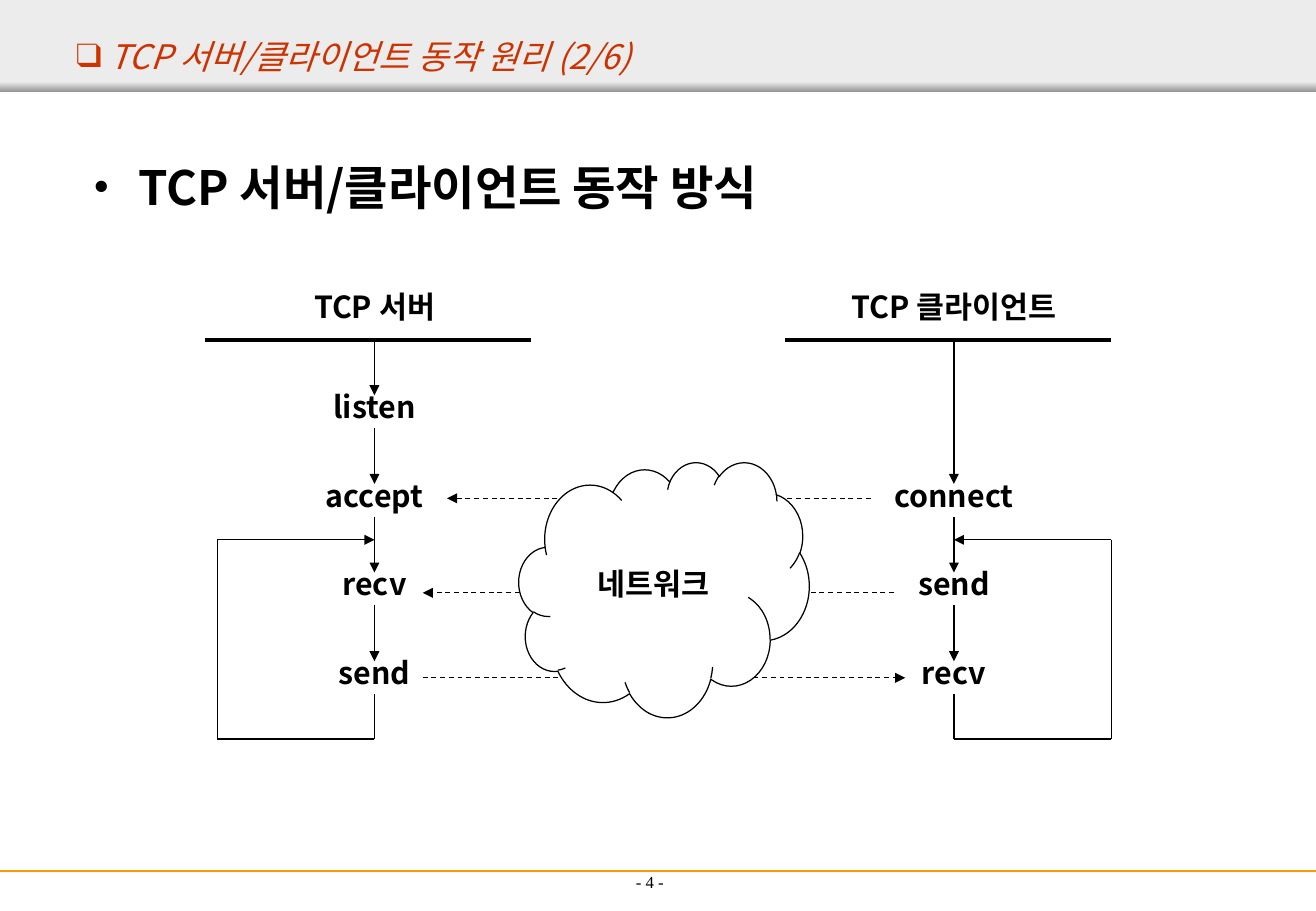
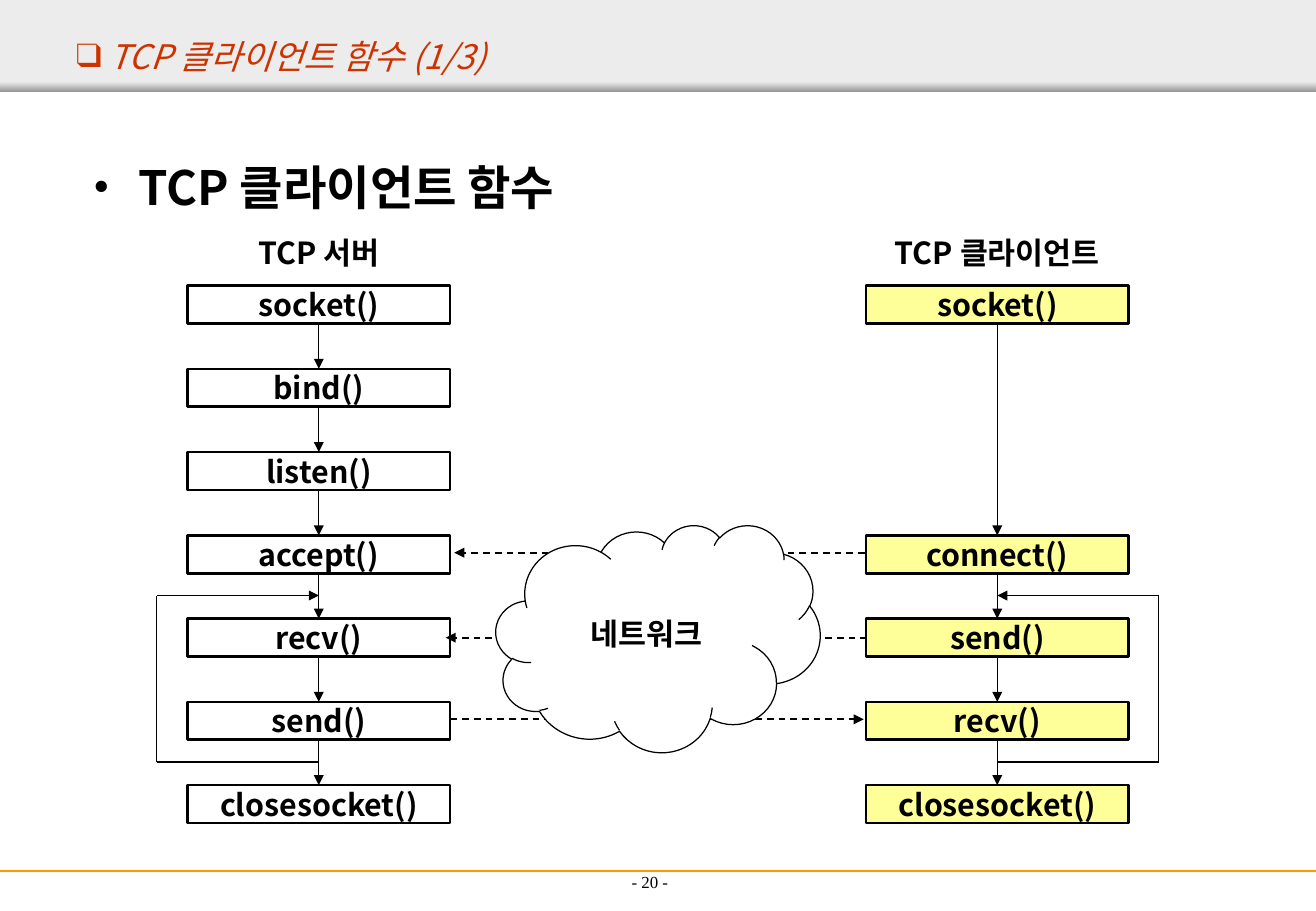
from dataclasses import dataclass
from lxml.etree import SubElement
from pptx import Presentation
from pptx.dml.color import RGBColor
from pptx.enum.dml import MSO_LINE
from pptx.enum.shapes import MSO_CONNECTOR, MSO_SHAPE
from pptx.enum.text import MSO_ANCHOR, PP_ALIGN
from pptx.oxml.ns import qn
from pptx.util import Pt


@dataclass(frozen=True)
class Theme:
    width: float = 780.12
    height: float = 540
    band_width: float = 780
    sans: str = "Noto Sans CJK KR"
    serif: str = "Times New Roman"
    black: str = "000000"
    white: str = "FFFFFF"
    accent: str = "CC3300"
    band: str = "ECECEC"
    band_edge: str = "979797"
    footer: str = "FF9900"
    highlight: str = "FFFF99"
    title_size: float = 20
    heading_size: float = 28
    label_size: float = 18
    page_size: float = 10
    thin: float = 0.75


THEME = Theme()

SLIDES = [
    {
        "page": "- 4 -",
        "title": " TCP 서버/클라이언트 동작 원리 (2/6)",
        "heading": "TCP 서버/클라이언트 동작 방식",
        "lanes": [
            {"name": "TCP 서버", "center": 222, "outer": 128.9, "rule": (121.7, 314.8),
             "calls": {0: "listen", 1: "accept", 2: "recv", 3: "send"}},
            {"name": "TCP 클라이언트", "center": 565.5, "outer": 658.8, "rule": (465.3, 658.8),
             "calls": {1: "connect", 2: "send", 3: "recv"}},
        ],
        "name_row": (162, 39.6),
        "rows": {"first": 227.8, "pitch": 52.56, "width": 186.5, "height": 26, "inset": 6.5},
        "rule_y": 201.6,
        "boxed": False,
        "loop": (320, 438),
        "messages": [(516.2, 265, 295.4), (530, 250.6, 351.4), (250.6, 536.6, 401.8)],
        "message_weight": 0.75,
        "network": (307.6, 273.8, 172.1, 151.2),
    },
    {
        "page": "- 20 -",
        "title": " TCP 클라이언트 함수 (1/3)",
        "heading": "TCP 클라이언트 함수",
        "lanes": [
            {"name": "TCP 서버", "center": 189, "outer": 93, "fill": None,
             "calls": dict(enumerate(["socket()", "bind()", "listen()", "accept()",
                                      "recv()", "send()", "closesocket()"]))},
            {"name": "TCP 클라이언트", "center": 591.2, "outer": 687, "fill": THEME.highlight,
             "calls": {0: "socket()", 3: "connect()", 4: "send()", 5: "recv()",
                       6: "closesocket()"}},
        ],
        "name_row": (138.2, 22.3),
        "rows": {"first": 169.3, "pitch": 49.35, "width": 155.6, "height": 22.5, "inset": 0},
        "rule_y": None,
        "boxed": True,
        "loop": (353, 451.7),
        "messages": [(512.6, 269.3, 327.6), (514, 264.2, 378), (267.1, 512, 426.4)],
        "message_weight": 1,
        "network": (294, 311.2, 192.2, 134.6),
    },
]


def color(code):
    return RGBColor.from_string(code)


def write(shape, text, size, font=THEME.sans, ink=THEME.black, bold=False, italic=False,
          align=PP_ALIGN.CENTER, anchor=MSO_ANCHOR.MIDDLE):
    frame = shape.text_frame
    frame.word_wrap = True
    frame.vertical_anchor = anchor
    frame.text = text
    paragraph = frame.paragraphs[0]
    paragraph.alignment = align
    run = paragraph.runs[0]
    run.font.name = font
    run.font.size = Pt(size)
    run.font.bold = bold
    run.font.italic = italic
    run.font.color.rgb = color(ink)
    SubElement(run.font._element, qn("a:ea")).set("typeface", font)
    return paragraph


def place_text(slide, left, top, width, height, text, size, **style):
    label = slide.shapes.add_textbox(Pt(left), Pt(top), Pt(width), Pt(height))
    return write(label, text, size, **style)


def add_bullet(paragraph, mark, ink, indent=0):
    properties = paragraph._p.get_or_add_pPr()
    properties.set("marL", str(Pt(indent)))
    properties.set("indent", str(-Pt(indent)))
    bullet_color = SubElement(properties, qn("a:buClr"))
    SubElement(bullet_color, qn("a:srgbClr")).set("val", ink)
    SubElement(properties, qn("a:buFont")).set("typeface", THEME.serif)
    SubElement(properties, qn("a:buChar")).set("char", mark)


def draw_shape(slide, kind, left, top, width, height, fill=None, line=None, weight=THEME.thin):
    shape = slide.shapes.add_shape(kind, Pt(left), Pt(top), Pt(width), Pt(height))
    shape.shadow.inherit = False
    if fill:
        shape.fill.solid()
        shape.fill.fore_color.rgb = color(fill)
    else:
        shape.fill.background()
    if line:
        shape.line.color.rgb = color(line)
        shape.line.width = Pt(weight)
    else:
        shape.line.fill.background()
    return shape


def draw_line(slide, start, end, arrow=False, weight=THEME.thin, ink=THEME.black, dashed=False):
    connector = slide.shapes.add_connector(
        MSO_CONNECTOR.STRAIGHT, *(Pt(value) for value in (*start, *end)))
    connector.line.color.rgb = color(ink)
    connector.line.width = Pt(weight)
    if dashed:
        connector.line.dash_style = MSO_LINE.DASH
    if arrow:
        SubElement(connector.line._get_or_add_ln(), qn("a:tailEnd")).set("type", "triangle")
    SubElement(connector._element.spPr, qn("a:effectLst"))


def draw_frame(slide, content):
    draw_shape(slide, MSO_SHAPE.RECTANGLE, 0, 0, THEME.band_width, 54, THEME.band)
    edge = draw_shape(slide, MSO_SHAPE.RECTANGLE, 0, 48.5, THEME.band_width, 5.8)
    edge.fill.gradient()
    edge.fill.gradient_angle = 270
    for stop, shade in zip(edge.fill.gradient_stops, (THEME.band, THEME.band_edge)):
        stop.color.rgb = color(shade)
    draw_line(slide, (0, 516.2), (THEME.band_width, 516.2), weight=1.5, ink=THEME.footer)
    place_text(slide, 265.7, 496.3, 239, 36, content["page"], THEME.page_size,
               font=THEME.serif, anchor=MSO_ANCHOR.BOTTOM)
    title = place_text(slide, 38, 18, 742, 30.2, content["title"], THEME.title_size,
                       ink=THEME.accent, italic=True, align=PP_ALIGN.LEFT)
    add_bullet(title, "❑", THEME.accent)
    heading = place_text(slide, 48.2, 90.2, 684, 391.7, content["heading"], THEME.heading_size,
                         bold=True, align=PP_ALIGN.LEFT, anchor=MSO_ANCHOR.TOP)
    heading.space_before = Pt(7)
    add_bullet(heading, "•", THEME.black, 27)


def draw_lane(slide, content, lane):
    rows = content["rows"]
    center, outer = lane["center"], lane["outer"]
    left = center - rows["width"] / 2
    name_top, name_height = content["name_row"]
    place_text(slide, left, name_top, rows["width"], name_height, lane["name"],
               THEME.label_size, bold=True)
    previous_end = content["rule_y"]
    if previous_end:
        rule_start, rule_end = lane["rule"]
        draw_line(slide, (rule_start, previous_end), (rule_end, previous_end), weight=2.25)
    for row, call in lane["calls"].items():
        top = rows["first"] + row * rows["pitch"]
        area = (left, top, rows["width"], rows["height"])
        if content["boxed"]:
            step = draw_shape(slide, MSO_SHAPE.RECTANGLE, *area, lane["fill"], THEME.black, 1.5)
            write(step, call, THEME.label_size, bold=True)
        else:
            place_text(slide, *area, call, THEME.label_size, bold=True)
        if previous_end:
            draw_line(slide, (center, previous_end), (center, top + rows["inset"]), arrow=True)
        previous_end = top + rows["height"]
    loop_top, loop_bottom = content["loop"]
    if previous_end < loop_bottom:
        draw_line(slide, (center, previous_end), (center, loop_bottom))
    corners = [(center, loop_bottom), (outer, loop_bottom), (outer, loop_top), (center, loop_top)]
    for start, end in zip(corners, corners[1:]):
        draw_line(slide, start, end, arrow=end == corners[-1])


def draw_network(slide, content):
    for start, end, y in content["messages"]:
        draw_line(slide, (start, y), (end, y), arrow=True,
                  weight=content["message_weight"], dashed=True)
    network = draw_shape(slide, MSO_SHAPE.CLOUD, *content["network"], THEME.white, THEME.black)
    write(network, "네트워크", THEME.label_size, bold=True)


def main():
    deck = Presentation()
    deck.slide_width, deck.slide_height = Pt(THEME.width), Pt(THEME.height)
    for content in SLIDES:
        slide = deck.slides.add_slide(deck.slide_layouts[6])
        draw_frame(slide, content)
        for lane in content["lanes"]:
            draw_lane(slide, content, lane)
        draw_network(slide, content)
    deck.save("out.pptx")


if __name__ == "__main__":
    main()
